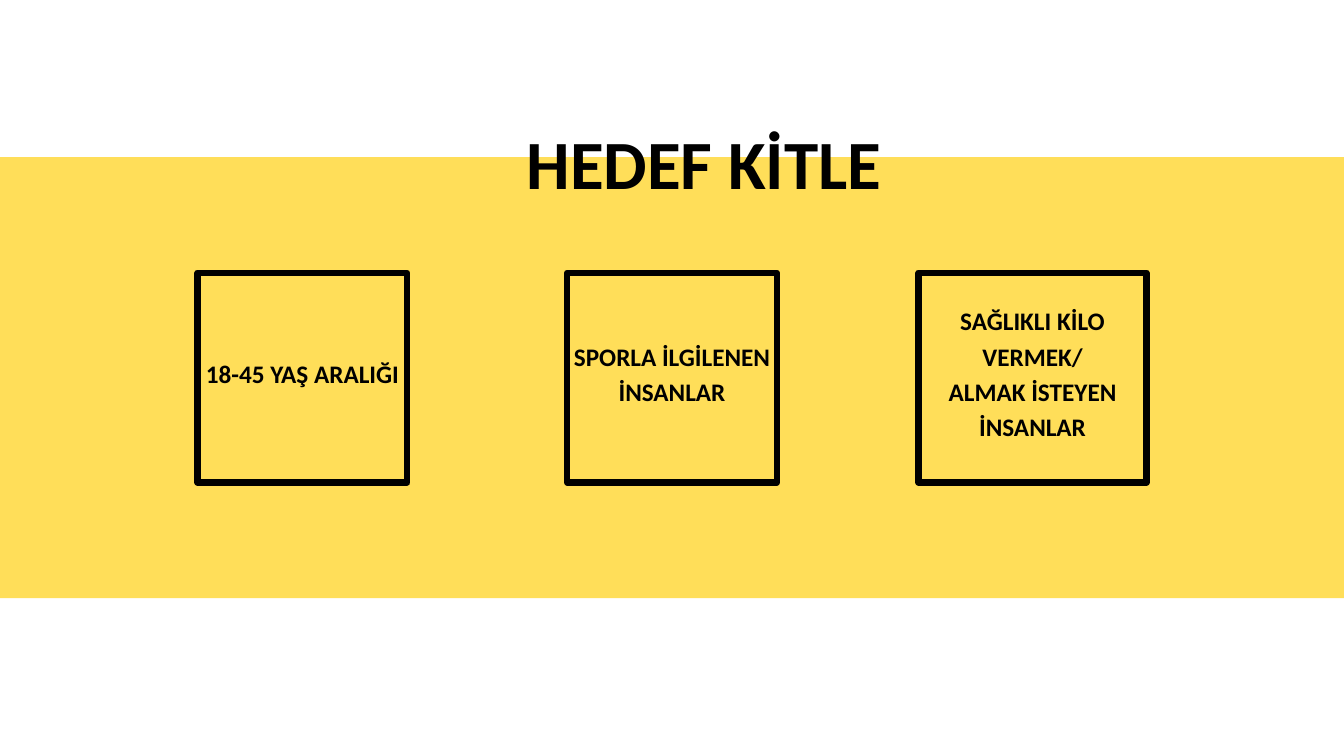
import pptx
import pptx.util
import pptx.dml.color
import pptx.enum.shapes
import pptx.enum.text

Inches, Pt = pptx.util.Inches, pptx.util.Pt
BLACK, YELLOW, WHITE = "000000", "FFDE59", "FFFFFF"
WIDTH, HEIGHT = 20, 11.25


def color(hex_text):
    return pptx.dml.color.RGBColor.from_string(hex_text)


def add_text(left, top, width, height, lines, size, spacing, inset, anchor):
    box = slide.shapes.add_textbox(Inches(left), Inches(top), Inches(width), Inches(height))
    frame = box.text_frame
    frame.word_wrap = True
    frame.vertical_anchor = anchor
    frame.margin_left = frame.margin_right = Inches(inset)
    frame.margin_top = frame.margin_bottom = Inches(inset)
    frame.text = "\n".join(lines)
    for paragraph in frame.paragraphs:
        paragraph.alignment = pptx.enum.text.PP_ALIGN.CENTER
        paragraph.line_spacing = Pt(spacing)
        paragraph.font.name = "Calibri"
        paragraph.font.size = Pt(size)
        paragraph.font.bold = True
        paragraph.font.color.rgb = color(BLACK)


deck = pptx.Presentation()
deck.slide_width, deck.slide_height = Inches(WIDTH), Inches(HEIGHT)
slide = deck.slides.add_slide(deck.slide_layouts[6])
slide.background.fill.solid()
slide.background.fill.fore_color.rgb = color(WHITE)
RECTANGLE = pptx.enum.shapes.MSO_SHAPE.RECTANGLE

# Yellow band across the full width
band = slide.shapes.add_shape(RECTANGLE, 0, Inches(2.34), Inches(WIDTH), Inches(6.56))
band.shadow.inherit = False
band.fill.solid()
band.fill.fore_color.rgb = color(YELLOW)
band.line.fill.background()

# Audience frames: left edge, width, lines
audiences = [
    (2.94, 3.12, ["18-45 YAŞ ARALIĞI"]),
    (8.44, 3.12, ["SPORLA İLGİLENEN İNSANLAR"]),
    (13.67, 3.39, ["SAĞLIKLI KİLO VERMEK/", "ALMAK İSTEYEN İNSANLAR"]),
]
frame_top, frame_height, text_rise = 4.06, 3.12, 0.19
for left, width, lines in audiences:
    border = slide.shapes.add_shape(
        RECTANGLE, Inches(left), Inches(frame_top), Inches(width), Inches(frame_height))
    border.shadow.inherit = False
    border.fill.background()
    border.line.color.rgb = color(BLACK)
    border.line.width = Pt(6.75)
    add_text(left, frame_top - text_rise, width, frame_height + text_rise, lines,
             27, 37.8, 0.06, pptx.enum.text.MSO_ANCHOR.MIDDLE)

# Title over the band's upper edge
add_text(6.54, 1.58, 7.88, 1.41, ["HEDEF KİTLE"], 74, 103.6, 0,
         pptx.enum.text.MSO_ANCHOR.TOP)

deck.save("out.pptx")
